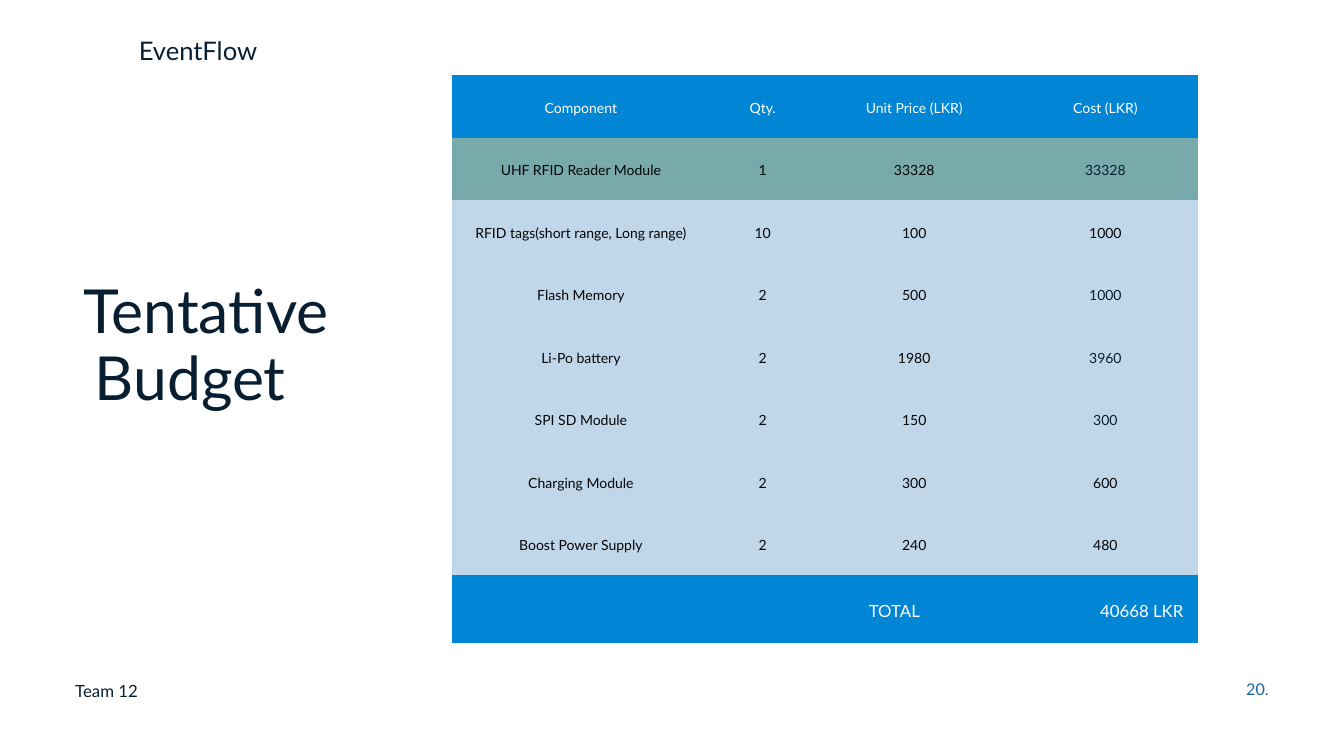
from lxml import etree
from pptx import Presentation
from pptx.dml.color import RGBColor
from pptx.enum.text import MSO_ANCHOR, MSO_AUTO_SIZE, PP_ALIGN
from pptx.oxml.ns import qn
from pptx.util import Inches, Pt

LEFT, CENTER, RIGHT = PP_ALIGN.LEFT, PP_ALIGN.CENTER, PP_ALIGN.RIGHT
MIDDLE = MSO_ANCHOR.MIDDLE
GROW = MSO_AUTO_SIZE.SHAPE_TO_FIT_TEXT

FONT = "Lato"
COLORS = {
    "navy": "081F32",
    "ink": "040606",
    "white": "FFFFFF",
    "page": "1566A8",
    "header": "0086D4",
    "highlight": "78A9AB",
    "body": "C0D7EA",
}

HEADINGS = ("Component", "Qty.", "Unit Price (LKR)", "Cost (LKR)")
ITEMS = (
    ("UHF RFID Reader Module", "1", "33328", "33328", "navy"),
    ("RFID tags(short range, Long range)", "10", "100", "1000", "ink"),
    ("Flash Memory", "2", "500", "1000", "navy"),
    ("Li-Po battery", "2", "1980", "3960", "navy"),
    ("SPI SD Module", "2", "150", "300", "navy"),
    ("Charging Module", "2", "300", "600", "ink"),
    ("Boost Power Supply", "2", "240", "480", "ink"),
)
COLUMN_WIDTHS = (3.83, 1.58, 2.93, 2.76)
ROW_HEIGHT, TOTAL_HEIGHT = 0.93, 1.01
CELL_MARGIN = 0.21
TOTAL_TABS = ((5.99, "l"), (10.67, "r"))


def set_margins(target, margin):
    target.margin_left = target.margin_right = Inches(margin)
    target.margin_top = target.margin_bottom = Inches(margin)


def write_text(paragraph, text, size=15, color="navy", align=LEFT, spacing=21, indent=0, tabs=()):
    properties = paragraph._p.get_or_add_pPr()
    if indent:
        properties.set("marL", str(Inches(indent)))
    if tabs:
        tab_list = etree.SubElement(properties, qn("a:tabLst"))
        for position, kind in tabs:
            etree.SubElement(tab_list, qn("a:tab"), pos=str(Inches(position)), algn=kind)
    paragraph.alignment = align
    paragraph.line_spacing = Pt(spacing)
    run = paragraph.add_run()
    run.text = text
    run.font.name = FONT
    run.font.size = Pt(size)
    run.font.color.rgb = RGBColor.from_string(COLORS[color])


def add_text_box(slide, left, top, width, height):
    box = slide.shapes.add_textbox(Inches(left), Inches(top), Inches(width), Inches(height))
    frame = box.text_frame
    frame.word_wrap = True
    frame.auto_size = GROW
    set_margins(frame, 0)
    return frame


def add_label(slide, text, left, top, width, height, **text_format):
    frame = add_text_box(slide, left, top, width, height)
    write_text(frame.paragraphs[0], text, **text_format)


def add_title(slide):
    frame = add_text_box(slide, 1.24, 4.15, 8.76, 2.01)
    write_text(frame.paragraphs[0], "Tentative", size=65, spacing=71.5)
    write_text(frame.add_paragraph(), "Budget", size=65, spacing=71.5, indent=0.17)


def style_cell(cell, fill):
    properties = cell._tc.get_or_add_tcPr()
    for side in ("a:lnL", "a:lnR", "a:lnT", "a:lnB"):
        border = etree.SubElement(properties, qn(side), w="0")
        etree.SubElement(border, qn("a:noFill"))
    cell.fill.solid()
    cell.fill.fore_color.rgb = RGBColor.from_string(COLORS[fill])
    cell.vertical_anchor = MIDDLE
    set_margins(cell, CELL_MARGIN)


def fill_row(table, row, texts, fill, colors):
    for column, (text, color) in enumerate(zip(texts, colors)):
        cell = table.cell(row, column)
        style_cell(cell, fill)
        write_text(cell.text_frame.paragraphs[0], text, color=color, align=CENTER)


def fill_total(table, row):
    last = len(COLUMN_WIDTHS) - 1
    for column in range(last + 1):
        style_cell(table.cell(row, column), "header")
    total = table.cell(row, 0)
    total.merge(table.cell(row, last))
    write_text(total.text_frame.paragraphs[0], "\tTOTAL\t40668 LKR",
               size=18, color="white", spacing=25.2, tabs=TOTAL_TABS)


def add_budget_table(slide):
    heights = [ROW_HEIGHT] * (len(ITEMS) + 1) + [TOTAL_HEIGHT]
    shape = slide.shapes.add_table(
        len(heights), len(COLUMN_WIDTHS), Inches(6.73), Inches(1.12),
        Inches(sum(COLUMN_WIDTHS)), Inches(sum(heights)))
    table = shape.table
    for column, width in zip(table.columns, COLUMN_WIDTHS):
        column.width = Inches(width)
    for row, height in zip(table.rows, heights):
        row.height = Inches(height)
    fill_row(table, 0, HEADINGS, "header", ["white"] * 4)
    for row, (*texts, cost_color) in enumerate(ITEMS, start=1):
        fill = "highlight" if row == 1 else "body"
        fill_row(table, row, texts, fill, ["ink"] * 3 + [cost_color])
    fill_total(table, len(heights) - 1)


def main():
    presentation = Presentation()
    presentation.slide_width = Inches(20)
    presentation.slide_height = Inches(11.25)
    slide = presentation.slides.add_slide(presentation.slide_layouts[6])
    add_label(slide, "EventFlow", 1.92, 0.62, 2.05, 0.4, size=27.4, align=CENTER, spacing=26)
    add_label(slide, "20.", 18.23, 10.16, 0.65, 0.26,
              size=17.3, color="page", align=RIGHT, spacing=17.3)
    add_title(slide)
    add_label(slide, "Team 12", 1.12, 10.06, 3.9, 0.35, size=18, spacing=27)
    add_budget_table(slide)
    presentation.save("out.pptx")


if __name__ == "__main__":
    main()
